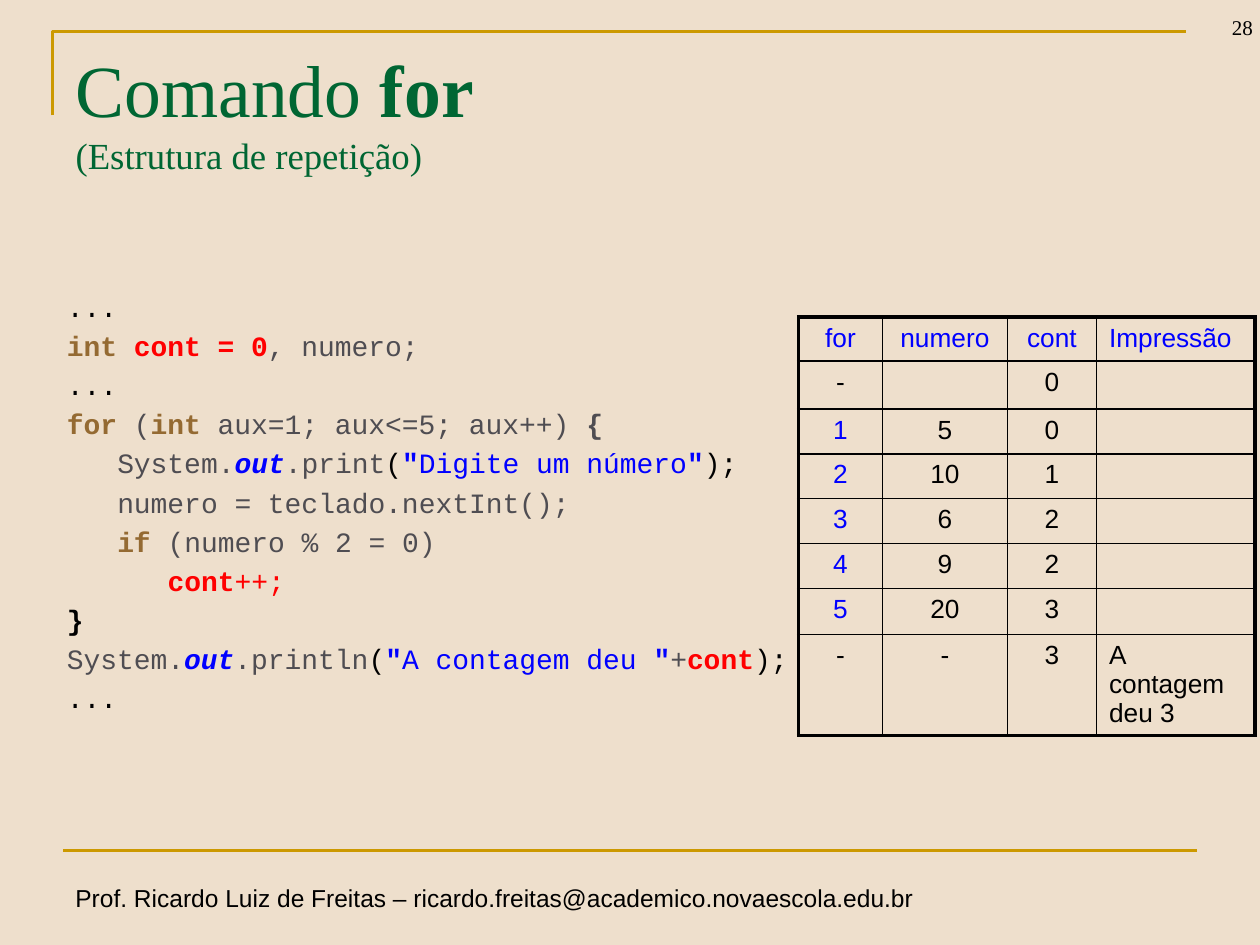
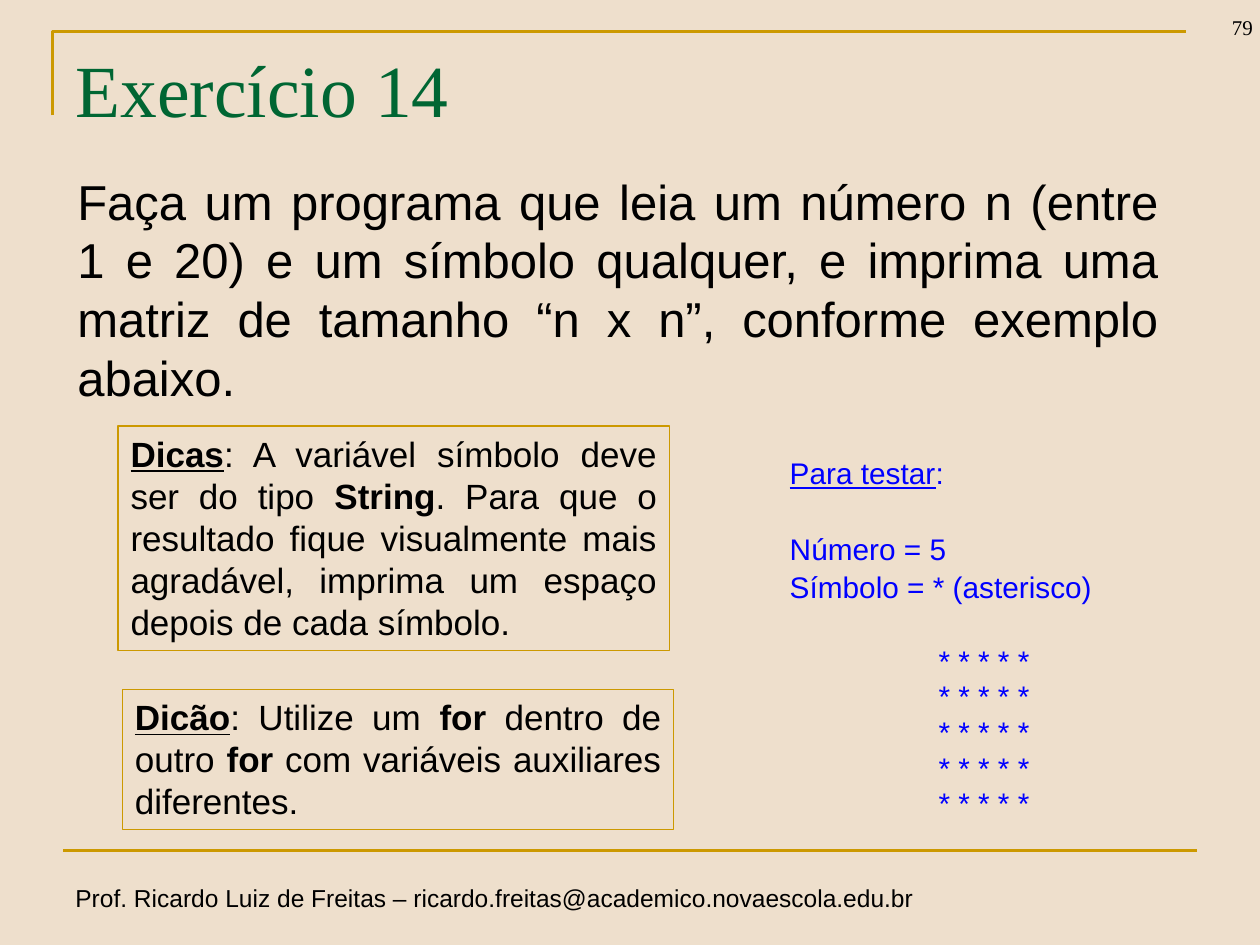
from dataclasses import dataclass
from typing import NamedTuple, Optional

from lxml import etree
from pptx import Presentation
from pptx.dml.color import RGBColor
from pptx.enum import shapes, text
from pptx.oxml.ns import qn
from pptx.util import Pt

# Shared colours and fonts
BACKGROUND, GOLD, GREEN = "EEDFCC", "CC9900", "006633"
BLACK, BLUE, RED, BROWN, GREY = "000000", "0000FF", "FF0000", "946A32", "4F4D52"
SANS, SERIF, MONO = "Arial", "Times New Roman", "Courier New"
FOOTER = "Prof. Ricardo Luiz de Freitas – ricardo.freitas@academico.novaescola.edu.br"
ALIGN = text.PP_ALIGN


class Box(NamedTuple):
    left: float
    top: float
    width: float
    height: float

    def lengths(self) -> list:
        return [Pt(value) for value in self]


class Piece(NamedTuple):
    """A stretch of text with one look; None keeps the paragraph's value."""
    words: str
    color: Optional[str] = None
    bold: bool = False
    italic: bool = False
    underline: bool = False
    size: Optional[float] = None


@dataclass
class Line:
    """One paragraph: its pieces and its layout, in points."""
    pieces: list
    indent: float = 0
    before: float = 0
    spacing: Optional[float] = None
    align: ALIGN = ALIGN.LEFT


@dataclass
class Font:
    name: str
    size: float
    color: str = BLACK


def rgb(color: str) -> RGBColor:
    return RGBColor.from_string(color)


def write_line(paragraph, line: Line, font: Font) -> None:
    paragraph.text = "".join(piece.words for piece in line.pieces[:1])
    paragraph.alignment = line.align
    paragraph.space_before = Pt(line.before)
    if line.spacing:
        paragraph.line_spacing = Pt(line.spacing)
    for piece in line.pieces[1:]:
        if piece.words.startswith("\n"):
            paragraph.add_line_break()
        paragraph.add_run().text = piece.words.lstrip("\n")
    for run, piece in zip(paragraph.runs, line.pieces):
        run.font.name = font.name
        run.font.size = Pt(piece.size or font.size)
        run.font.color.rgb = rgb(piece.color or font.color)
        run.font.bold, run.font.italic = piece.bold, piece.italic
        run.font.underline = piece.underline
    properties = paragraph._p.get_or_add_pPr()
    properties.set("marL", str(Pt(line.indent)))
    properties.set("indent", "0")
    etree.SubElement(properties, qn("a:buNone"))


def write(shape, lines: list, font: Font, anchor=text.MSO_ANCHOR.TOP,
          wrap: bool = True) -> None:
    frame = shape.text_frame
    frame.word_wrap, frame.vertical_anchor = wrap, anchor
    frame.auto_size = text.MSO_AUTO_SIZE.NONE
    for index, line in enumerate(lines):
        paragraph = frame.add_paragraph() if index else frame.paragraphs[0]
        write_line(paragraph, line, font)


def place(shape, box: Box) -> None:
    shape.left, shape.top, shape.width, shape.height = box.lengths()


def add_text(slide, box: Box, lines: list, font: Font, **options) -> None:
    write(slide.shapes.add_textbox(*box.lengths()), lines, font, **options)


# Frame, title, page number and footer of every slide
def add_slide(presentation, title: list, number: str):
    slide = presentation.slides.add_slide(presentation.slide_layouts[1])
    builder = slide.shapes.build_freeform(Pt(30), Pt(66), scale=1.0)
    builder.add_line_segments([(Pt(30), Pt(18)), (Pt(678), Pt(18))], close=False)
    corner = builder.convert_to_shape()
    corner.shadow.inherit = False
    corner.fill.background()
    rule = slide.shapes.add_connector(
        shapes.MSO_CONNECTOR.STRAIGHT, Pt(36), Pt(486), Pt(684), Pt(486))
    etree.SubElement(rule._element.spPr, qn("a:effectLst"))
    for stroke in (corner, rule):
        stroke.line.color.rgb = rgb(GOLD)
        stroke.line.width = Pt(1.5)
    place(slide.shapes.title, Box(36, 21.6, 648, 90))
    write(slide.shapes.title, [Line(title)], Font(SERIF, 42, GREEN))
    add_text(slide, Box(36, 501, 494, 24.5), [Line([Piece(FOOTER)])],
             Font(SANS, 14), wrap=False)
    add_text(slide, Box(669, -10, 54, 36), [Line([Piece(number)], align=ALIGN.RIGHT)],
             Font(SERIF, 12), anchor=text.MSO_ANCHOR.BOTTOM)
    return slide


# Table with a thick outer border
def set_border(cell, side: str, width: float) -> None:
    border = etree.SubElement(cell._tc.get_or_add_tcPr(), qn(f"a:{side}"), w=str(Pt(width)))
    fill = etree.SubElement(border, qn("a:solidFill"))
    etree.SubElement(fill, qn("a:srgbClr"), val=BLACK)


def add_trace_table(slide, box: Box, rows: list, widths: list, heights: list) -> None:
    table = slide.shapes.add_table(len(rows), len(widths), *box.lengths()).table
    table.first_row = table.horz_banding = False
    for column, width in zip(table.columns, widths):
        column.width = Pt(width)
    for row, height in zip(table.rows, heights):
        row.height = Pt(height)
    last_row, last_column = len(rows) - 1, len(widths) - 1
    for r, values in enumerate(rows):
        for c, value in enumerate(values):
            cell = table.cell(r, c)
            outer = {"lnL": c == 0, "lnR": c == last_column,
                     "lnT": r == 0, "lnB": r == last_row}
            for side, thick in outer.items():
                set_border(cell, side, 2.25 if thick else 1)
            cell.fill.background()
            paragraph = cell.text_frame.paragraphs[0]
            if not value:
                etree.SubElement(paragraph._p, qn("a:endParaRPr"), sz="1500")
                continue
            heading = r == 0 or (c == 0 and value != "-")
            align = ALIGN.LEFT if c == last_column else ALIGN.CENTER
            write_line(paragraph, Line([Piece(value)], align=align),
                       Font(SANS, 15, BLUE if heading else BLACK))


# Code pieces by role
def plain(words: str) -> Piece:
    return Piece(words, GREY)


def keyword(words: str) -> Piece:
    return Piece(words, BROWN, bold=True)


def counter(words: str) -> Piece:
    return Piece(words, RED, bold=True)


def print_call(method: str, message: str, *tail: Piece) -> list:
    quote = Piece('"', BLUE, bold=True)
    return [plain("System."), Piece("out", BLUE, bold=True, italic=True), plain(method),
            Piece("("), quote, Piece(message, BLUE), quote, *tail, Piece(");")]


def build_for_slide(presentation) -> None:
    slide = add_slide(presentation, [
        Piece("Comando "), Piece("for", bold=True),
        Piece("\n(Estrutura de repetição)", size=21)], "28")
    dots = [Piece("...")]
    code = [  # indent level, pieces
        (0, dots),
        (0, [keyword("int "), counter("cont = 0"), plain(", numero;")]),
        (0, dots),
        (0, [keyword("for "), plain("("), keyword("int "),
             plain("aux=1; aux<=5; aux++) "), Piece("{", GREY, bold=True)]),
        (1, print_call(".print", "Digite um número")),
        (1, [plain("numero = teclado.nextInt();")]),
        (1, [keyword("if"), plain(" (numero % 2 = 0)")]),
        (2, [counter("cont"), Piece("++;", RED)]),
        (0, [Piece("}", bold=True)]),
        (0, print_call(".println", "A contagem deu ", plain("+"), counter("cont"))),
        (0, dots),
    ]
    body = slide.placeholders[1]
    place(body, Box(31, 162, 431.5, 246))
    write(body, [Line(pieces, indent=28.8 * level, before=3.6, spacing=18.8)
                 for level, pieces in code], Font(MONO, 16))
    rows = [["for", "numero", "cont", "Impressão"], ["-", "", "0", ""],
            ["1", "5", "0", ""], ["2", "10", "1", ""], ["3", "6", "2", ""],
            ["4", "9", "2", ""], ["5", "20", "3", ""], ["-", "-", "3", "A contagem deu 3"]]
    add_trace_table(slide, Box(456.3, 181.2, 261, 237.6), rows,
                    [48, 71.3, 51, 90.7], [25.2, 27.4] + [25.2] * 4 + [26.4, 57.6])


# Bordered hint boxes
def add_hint(slide, box: Box, pieces: list) -> None:
    hint = slide.shapes.add_shape(shapes.MSO_SHAPE.RECTANGLE, *box.lengths())
    hint.shadow.inherit = False
    hint.fill.background()
    hint.line.color.rgb = rgb(GOLD)
    hint.line.width = Pt(0.75)
    write(hint, [Line(pieces, spacing=24, align=ALIGN.JUSTIFY)], Font(SANS, 20))


def build_exercise_slide(presentation) -> None:
    slide = add_slide(presentation, [Piece("Exercício 14")], "79")
    body = slide.placeholders[1]
    place(body, Box(37, 94.3, 632, 157.7))
    write(body, [Line([Piece(
        "Faça um programa que leia um número n (entre 1 e 20) e um símbolo qualquer, "
        "e imprima uma matriz de tamanho “n x n”, conforme exemplo abaixo.")],
        spacing=33.5, before=5.6, align=ALIGN.JUSTIFY)], Font(SANS, 28))
    add_hint(slide, Box(67.5, 243.5, 315, 128.2), [
        Piece("Dicas", bold=True, underline=True),
        Piece(": A variável símbolo deve ser do tipo "), Piece("String", bold=True),
        Piece(". Para que o resultado fique visualmente mais agradável, "
              "imprima um espaço depois de cada símbolo.")])
    add_hint(slide, Box(70, 394, 315, 80), [
        Piece("Dicão", bold=True, underline=True), Piece(": Utilize um "),
        Piece("for", bold=True), Piece(" dentro de outro "), Piece("for", bold=True),
        Piece(" com variáveis auxiliares diferentes.")])

    # Sample input and the square it prints
    size, gap, pitch = 5, 3.4, 21.7
    sample = [Line([Piece("Para testar", underline=True), Piece(":")], 0, gap, 18.3),
              Line([Piece("Número = 5")], 0, gap + pitch, 18.3),
              Line([Piece("Símbolo = * (asterisco)")], 0, gap, 18.3)]
    sample += [Line([Piece(" ".join("*" * size))], 85, 0 if row else pitch, 20.4)
               for row in range(size)]
    add_text(slide, Box(444.2, 258.5, 214, 214), sample, Font(SANS, 17, BLUE))


presentation = Presentation()
presentation.slide_width, presentation.slide_height = Pt(720), Pt(540)
background = presentation.slide_master.background.fill
background.solid()
background.fore_color.rgb = rgb(BACKGROUND)
build_for_slide(presentation)
build_exercise_slide(presentation)
presentation.save("out.pptx")
